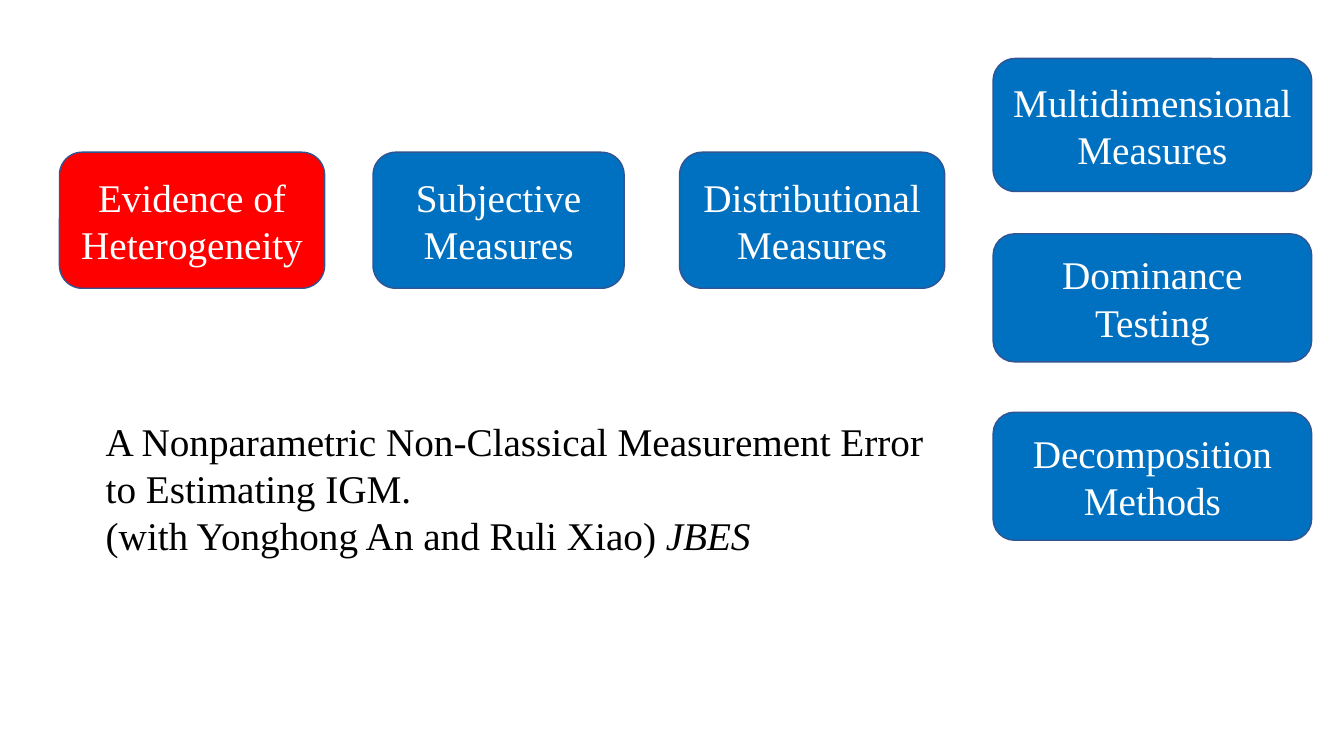
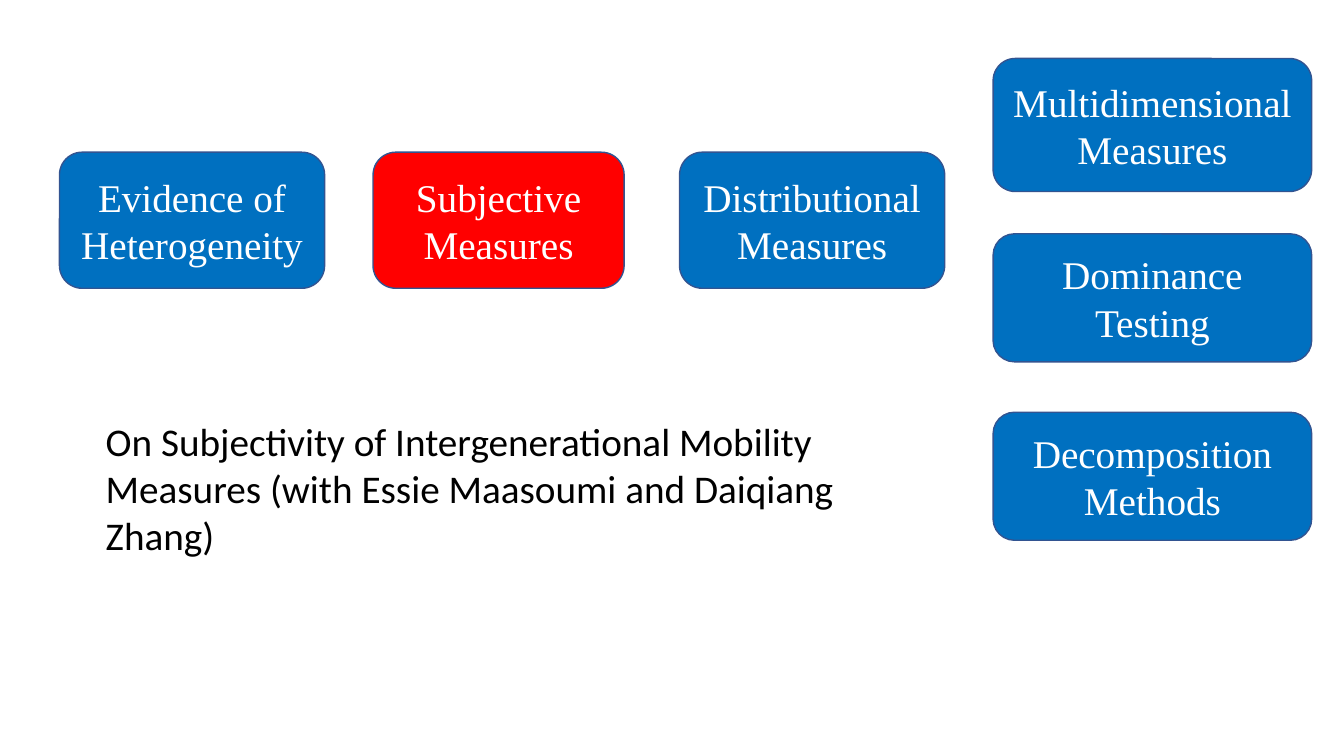
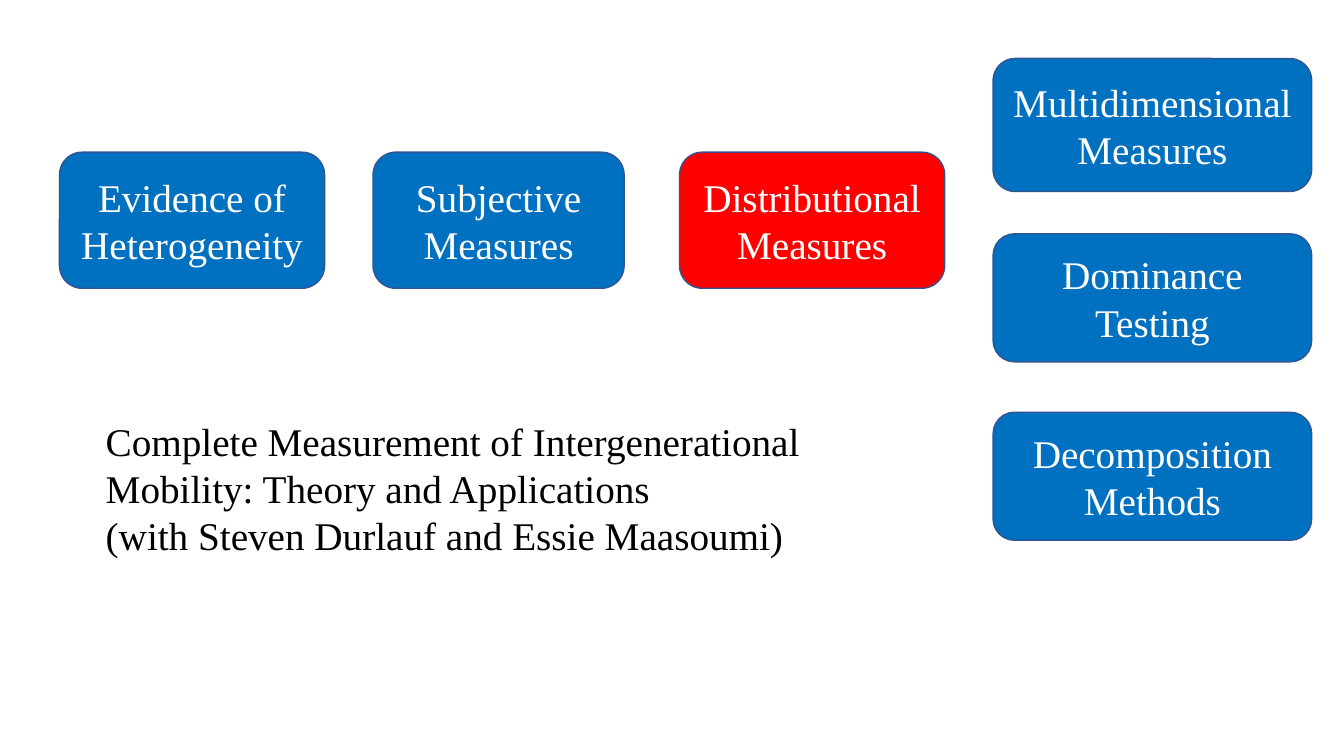
from pptx import Presentation
from pptx.dml.color import RGBColor
from pptx.enum.shapes import MSO_SHAPE
from pptx.enum.text import MSO_ANCHOR, MSO_AUTO_SIZE, PP_ALIGN
from pptx.util import Inches, Pt

ROUNDED = MSO_SHAPE.ROUNDED_RECTANGLE
MIDDLE = MSO_ANCHOR.MIDDLE
GROW = MSO_AUTO_SIZE.SHAPE_TO_FIT_TEXT
CENTER = PP_ALIGN.CENTER

SERIF, SANS = "Times New Roman", "Calibri"
BLANK_LAYOUT = 6

TOPICS = [
    ("Evidence of Heterogeneity", 0.59, 1.51, 2.63, 1.35),
    ("Subjective Measures", 3.7, 1.51, 2.49, 1.35),
    ("Distributional Measures", 6.74, 1.51, 2.63, 1.35),
    ("Decomposition Methods", 9.85, 4.09, 3.16, 1.27),
    ("Dominance Testing", 9.85, 2.32, 3.16, 1.27),
    ("Multidimensional Measures", 9.85, 0.58, 3.16, 1.32),
]

PAPERS = [
    ("Evidence of Heterogeneity", SERIF, [
        [("A Nonparametric Non-Classical Measurement Error to Estimating IGM.", False)],
        [("(with Yonghong An and Ruli Xiao) ", False), ("JBES", True)],
    ]),
    ("Subjective Measures", SANS, [
        [("On Subjectivity of Intergenerational Mobility Measures "
          "(with Essie Maasoumi and Daiqiang Zhang)", False)],
    ]),
    ("Distributional Measures", SERIF, [
        [("Complete Measurement of Intergenerational Mobility: "
          "Theory and Applications", False)],
        [("(with Steven Durlauf and Essie Maasoumi)", False)],
    ]),
]


def rgb(value):
    """Turn a hex string into a colour."""
    return RGBColor.from_string(value)


class Deck:
    """Holds the shared style and the current slide."""

    BLUE, RED, OUTLINE = "0070C0", "FF0000", "325491"
    WHITE, BLACK = "FFFFFF", "000000"
    SIZE = 28

    def __init__(self):
        """Start an empty widescreen presentation."""
        self.prs = Presentation()
        self.prs.slide_width = Inches(13.33)
        self.prs.slide_height = Inches(7.5)
        self.s = None

    def new_slide(self):
        """Add a blank slide and make it current."""
        self.s = self.prs.slides.add_slide(self.prs.slide_layouts[BLANK_LAYOUT])

    def style(self, p, name, color):
        """Set the font of a paragraph."""
        p.font.name = name
        p.font.size = Pt(self.SIZE)
        p.font.color.rgb = rgb(color)

    def topic(self, text, left, top, width, height, active):
        """Draw a topic box, red when it is the active one."""
        sp = self.s.shapes.add_shape(
            ROUNDED, Inches(left), Inches(top), Inches(width), Inches(height))
        sp.shadow.inherit = False
        sp.fill.solid()
        sp.fill.fore_color.rgb = rgb(self.RED if active else self.BLUE)
        sp.line.color.rgb = rgb(self.OUTLINE)
        sp.line.width = Pt(1)
        tf = sp.text_frame
        tf.word_wrap = True
        tf.vertical_anchor = MIDDLE
        p = tf.paragraphs[0]
        p.text = text
        p.alignment = CENTER
        self.style(p, SERIF, self.WHITE)

    def paper(self, paragraphs, font):
        """Write the paper reference below the topics."""
        sp = self.s.shapes.add_textbox(
            Inches(0.95), Inches(4.09), Inches(8.42), Inches(1.51))
        tf = sp.text_frame
        tf.word_wrap = True
        tf.auto_size = GROW
        for i, runs in enumerate(paragraphs):
            p = tf.add_paragraph() if i else tf.paragraphs[0]
            self.style(p, font, self.BLACK)
            for text, italic in runs:
                r = p.add_run()
                r.text = text
                if italic:
                    r.font.italic = True


def main():
    """Build one slide per paper and save the deck."""
    deck = Deck()
    for active, font, paragraphs in PAPERS:
        deck.new_slide()
        for text, *box in TOPICS:
            deck.topic(text, *box, active=text == active)
        deck.paper(paragraphs, font)
    deck.prs.save("out.pptx")


if __name__ == "__main__":
    main()
